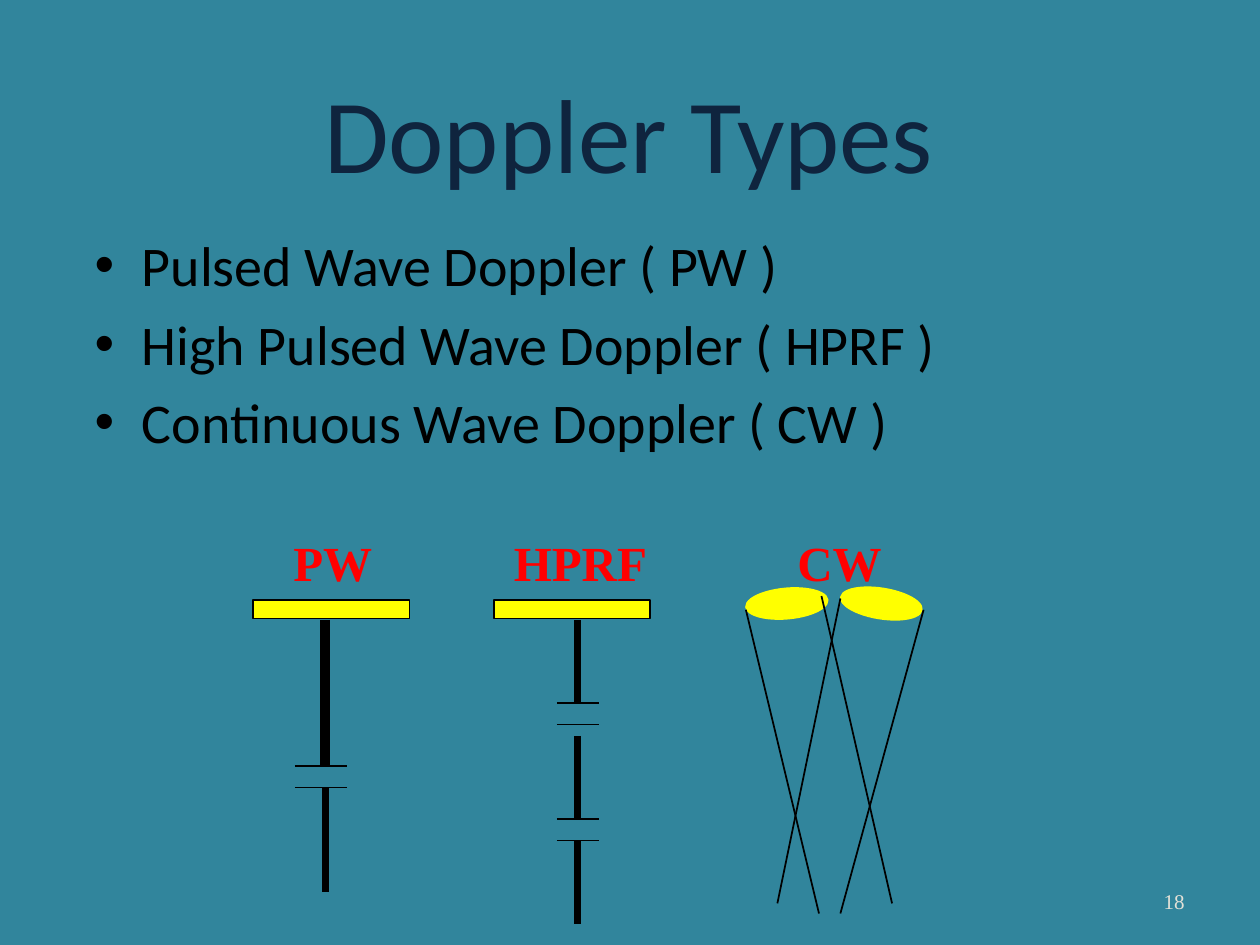
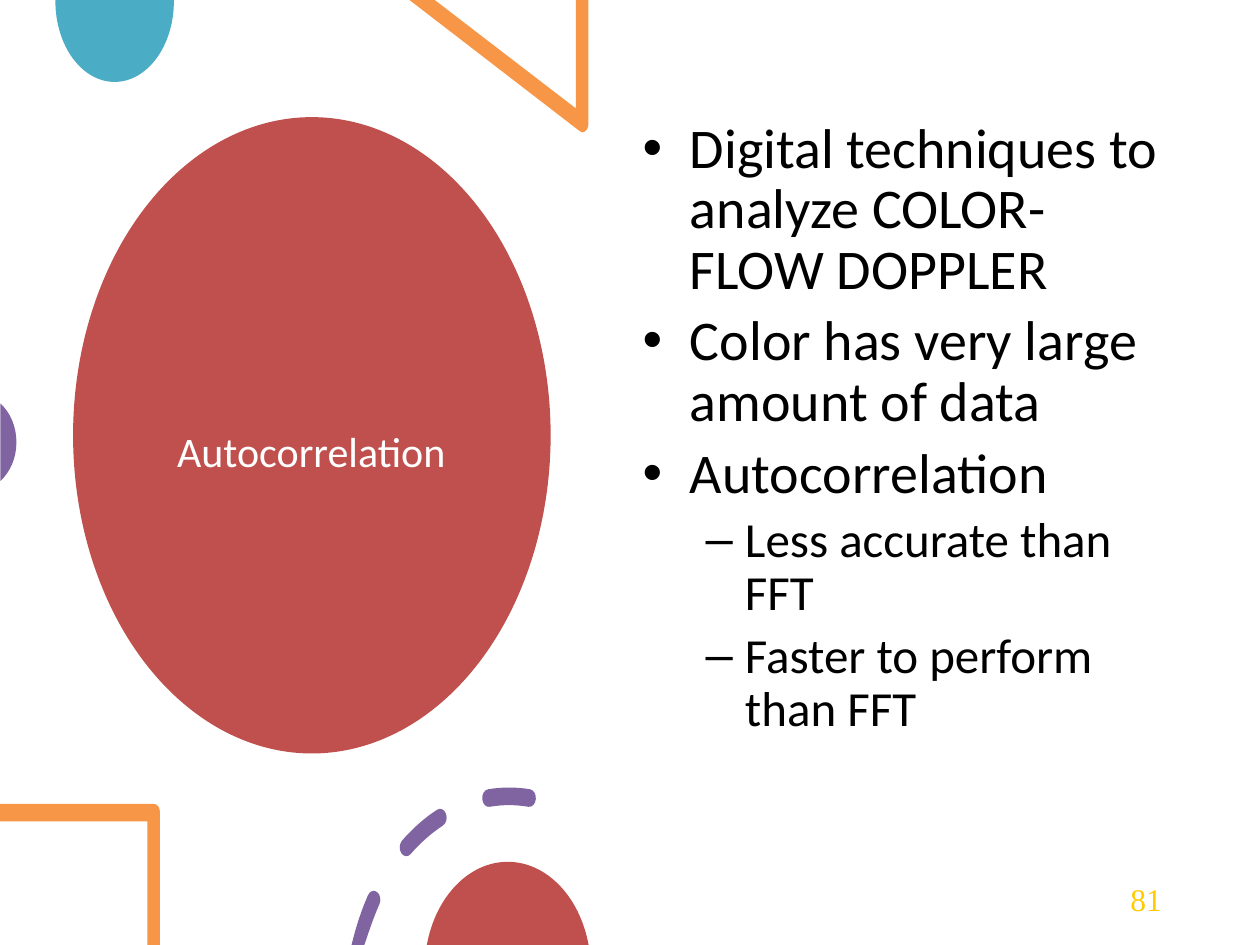
from dataclasses import dataclass
from math import cos, radians, sin, tan

from lxml import etree
from pptx import Presentation
from pptx import util as u
from pptx.dml.color import RGBColor
from pptx.enum import shapes, text
from pptx.oxml.ns import qn

# The slide is a grid of square cells
COLUMNS, ROWS = 10, 7.5
CELL = u.Inches(1)


@dataclass(frozen=True)
class Theme:
    sans: str = "Calibri"
    serif: str = "Times New Roman"
    teal: str = "31859C"
    white: str = "FFFFFF"
    black: str = "000000"
    navy: str = "0F243E"
    yellow: str = "FFFF00"
    red: str = "FF0000"
    brick: str = "C0504D"
    aqua: str = "4BACC6"
    orange: str = "F79646"
    purple: str = "8064A2"
    pale: str = "E3E1D7"
    gold: str = "FFCC00"
    title: int = 60
    disc_title: int = 24
    label: int = 28
    bullets: tuple = (32, 28)
    thin: int = 1
    beam: int = 4
    strong_beam: int = 6


THEME = Theme()
# Mark, text indent and hanging indent of each list level, in points
LEVELS = (("•", 27, 27), ("–", 58.5, 22.5))
ALIGN = text.PP_ALIGN
FIT = text.MSO_AUTO_SIZE


def cells(*counts):
    return [u.Emu(round(count * CELL)) for count in counts]


def rgb(color):
    return RGBColor.from_string(color)


# Text
def write(frame, words, size, color, font=THEME.sans, bold=False, align=ALIGN.LEFT,
          level=None, spacing=None, after=None, first=True):
    """Add one formatted paragraph; level makes it a list item."""
    paragraph = frame.paragraphs[0] if first else frame.add_paragraph()
    paragraph.alignment = align
    paragraph.space_before = u.Pt(0 if first else size * 0.2)
    if spacing:
        paragraph.line_spacing = spacing
    if after:
        paragraph.space_after = u.Pt(after)
    if level is not None:
        mark, indent, hanging = LEVELS[level]
        paragraph.level = level
        properties = paragraph._p.get_or_add_pPr()
        properties.set("marL", str(u.Pt(indent)))
        properties.set("indent", str(-u.Pt(hanging)))
        etree.SubElement(properties, qn("a:buFont")).set("typeface", "Arial")
        etree.SubElement(properties, qn("a:buChar")).set("char", mark)
    run = paragraph.add_run()
    run.text = words
    run.font.name, run.font.size, run.font.bold = font, u.Pt(size), bold
    run.font.color.rgb = rgb(color)


def place(box, area, anchor=text.MSO_ANCHOR.TOP, wrap=True):
    box.left, box.top, box.width, box.height = cells(*area)
    frame = box.text_frame
    frame.auto_size = FIT.NONE if wrap else FIT.SHAPE_TO_FIT_TEXT
    frame.word_wrap = wrap
    frame.vertical_anchor = anchor
    return frame


def add_title(slide, words, area, size, color):
    frame = place(slide.shapes.title, area, text.MSO_ANCHOR.MIDDLE)
    write(frame, words, size, color, align=ALIGN.CENTER)


def add_bullets(slide, items, area, spacing=None):
    frame = place(slide.placeholders[1], area)
    for index, (level, words) in enumerate(items):
        write(frame, words, THEME.bullets[level], THEME.black, level=level,
              spacing=spacing, first=index == 0)


def add_label(slide, words, area, anchor=text.MSO_ANCHOR.TOP, wrap=True, **style):
    box = slide.shapes.add_textbox(*cells(*area))
    write(place(box, area, anchor, wrap), words, font=THEME.serif, **style)


def add_page_number(slide, number, right, width, **style):
    add_label(slide, number, (right - width, 6.95, width, 0.4),
              anchor=text.MSO_ANCHOR.MIDDLE, align=ALIGN.RIGHT, **style)


# Shapes
def paint(shape, fill, outline=None):
    shape.shadow.inherit = False
    shape.fill.solid()
    shape.fill.fore_color.rgb = rgb(fill)
    if outline:
        shape.line.color.rgb = rgb(outline)
        shape.line.width = u.Pt(THEME.thin)
    else:
        shape.line.fill.background()


def add_preset(slide, kind, area, fill, outline=None, rotation=0):
    shape = slide.shapes.add_shape(kind, *cells(*area))
    shape.rotation = rotation
    paint(shape, fill, outline)
    return shape


def add_line(slide, start, end, weight=THEME.thin):
    line = slide.shapes.add_connector(shapes.MSO_CONNECTOR.STRAIGHT,
                                      *cells(*start, *end))
    line.line.color.rgb = rgb(THEME.black)
    line.line.width = u.Pt(weight)
    etree.SubElement(line._element.spPr, qn("a:effectLst"))


def add_outline(slide, fill, *contours):
    """Fill closed contours; a step of one point is a line, of three a curve."""
    def inside(point):
        return cells(min(max(point[0], 0), COLUMNS), min(max(point[1], 0), ROWS))

    builder = slide.shapes.build_freeform(*inside(contours[0][0][0]))
    for index, (start, *steps) in enumerate(contours):
        if index:
            builder.move_to(*inside(start[0]))
        builder.add_line_segments([inside(p) for step in steps for p in step], close=True)
    shape = builder.convert_to_shape()
    paint(shape, fill)

    # Join the three lines of each curve into one Bezier segment
    lines = iter(list(shape._element.iter(qn("a:lnTo"))))
    for step in (step for contour in contours for step in contour[1:]):
        parts = [next(lines) for _ in step]
        if len(parts) == 3:
            parts[0].tag, curve = qn("a:lnTo"), etree.Element(qn("a:cubicBezTo"))
            parts[0].addprevious(curve)
            for part in parts:
                curve.append(part[0])
                part.getparent().remove(part)


def corners(*points):
    return [(point,) for point in points]


def arc(center, radii, start, end, parts=2):
    """Steps along an ellipse, in degrees anticlockwise from the right."""
    sweep = radians(end - start) / parts
    reach = 4 / 3 * tan(sweep / 4)

    def on(angle, pull=0):
        return (center[0] + radii[0] * (cos(angle) - pull * sin(angle)),
                center[1] - radii[1] * (sin(angle) + pull * cos(angle)))

    angles = [radians(start) + sweep * i for i in range(parts + 1)]
    return [(on(angles[0]),)] + [(on(a, reach), on(b, -reach), on(b))
                                 for a, b in zip(angles, angles[1:])]


# Doppler diagrams
def add_pulsed_beam(slide, probe_left, axis, gate, segments):
    """Transducer, beam segments (top, bottom, weight) and gates between them."""
    add_preset(slide, shapes.MSO_SHAPE.RECTANGLE, (probe_left, 4.76, 1.24, 0.15),
               THEME.yellow, THEME.black)
    for top, bottom, weight in segments:
        add_line(slide, (axis, top), (axis, bottom), weight)
    for _, bottom, _ in segments[:-1]:
        for y in (bottom, bottom + 0.17):
            add_line(slide, (gate[0], y), (gate[1], y))


def add_continuous_beams(slide):
    for left, tilt in ((5.92, 355), (6.67, 9)):
        add_preset(slide, shapes.MSO_SHAPE.OVAL, (left, 4.67, 0.65, 0.24),
                   THEME.yellow, THEME.yellow, tilt)
    for start, end in (((5.92, 4.84), (6.5, 7.25)), ((6.52, 4.73), (7.08, 7.17)),
                       ((6.67, 4.75), (6.17, 7.17)), ((7.33, 4.84), (6.67, 7.25))):
        add_line(slide, start, end)


# Decoration around the disc
def ring_dash(middle):
    """One round-ended dash of the ring, centred on an angle."""
    center, radius, half_width, squeeze, half_sweep = (4.04, 7.98), 1.66, 0.07, 0.75, 7.4
    start, end = middle - half_sweep, middle + half_sweep

    def edge(r, a, b):
        return arc(center, (squeeze * r, r), a, b, parts=1)

    def cap(angle, turn):
        tip = edge(radius, angle, angle)[0][0]
        return arc(tip, (squeeze * half_width, half_width), turn, turn + 180)[1:]

    return (edge(radius + half_width, start, end) + cap(end, end)
            + edge(radius - half_width, end, start)[1:] + cap(start, start + 180))


def add_decoration(slide):
    add_outline(slide, THEME.aqua, corners((1.38, 0), (0.44, 0))
                + arc((0.91, 0.01), (0.47, 0.64), 180, 360))
    add_outline(slide, THEME.orange,
                corners((4.67, 0), (4.57, 0), (4.57, 0.86), (3.45, 0), (3.25, 0), (4.6, 1.04))
                + [((4.61, 1.05), (4.61, 1.05), (4.62, 1.05)),
                   ((4.65, 1.05), (4.67, 1.02), (4.67, 0.98))])
    add_outline(slide, THEME.purple, arc((-0.18, 3.51), (0.31, 0.38), -54, 54))
    add_outline(slide, THEME.orange,
                corners((1.22, 6.38), (0, 6.38), (0, 6.52), (1.17, 6.52), (1.17, ROWS),
                        (1.27, ROWS), (1.27, 6.45))
                + [((1.27, 6.41), (1.25, 6.38), (1.22, 6.38))])
    add_outline(slide, THEME.purple, *[ring_dash(90 + 33.5 * i) for i in (2, 1, 0)])
    add_outline(slide, THEME.brick, arc((4.03, 7.7), (0.66, 0.86), 13.5, 166.5))


# Slides
def new_slide(deck, background):
    slide = deck.slides.add_slide(deck.slide_layouts[1])
    slide.background.fill.solid()
    slide.background.fill.fore_color.rgb = rgb(background)
    return slide


def doppler_types(deck):
    slide = new_slide(deck, THEME.teal)
    add_title(slide, "Doppler Types", (0.49, 0.42, 9, 1.25), THEME.title, THEME.navy)
    add_bullets(slide, [(0, "Pulsed Wave Doppler ( PW )"),
                        (0, "High Pulsed Wave Doppler ( HPRF )"),
                        (0, "Continuous Wave Doppler ( CW )")], (0.65, 1.78, 9, 4.8))
    add_page_number(slide, "18", 9.5, 2.33, size=12, color=THEME.pale)
    add_pulsed_beam(slide, 2.01, 2.58, (2.34, 2.75),
                    [(4.92, 6.08, THEME.strong_beam), (6.25, 7.08, THEME.beam)])
    add_pulsed_beam(slide, 3.92, 4.58, (4.42, 4.75),
                    [(top, top + 0.66, THEME.beam) for top in (4.92, 5.84, 6.67)])
    add_continuous_beams(slide)
    for name, left, width in (("PW", 2.23, 0.83), ("HPRF", 3.98, 1.26),
                              ("CW", 6.23, 0.87)):
        add_label(slide, name, (left, 4.18, width, 0.57), wrap=False,
                  size=THEME.label, color=THEME.red, bold=True)


def autocorrelation(deck):
    slide = new_slide(deck, THEME.white)
    disc = add_preset(slide, shapes.MSO_SHAPE.OVAL, (0.58, 0.93, 3.79, 5.05), THEME.brick)
    slide.shapes.title._element.addprevious(disc._element)
    add_title(slide, "Autocorrelation", (1.14, 1.35, 2.66, 4.45),
              THEME.disc_title, THEME.white)
    add_decoration(slide)
    add_bullets(slide, [(0, "Digital techniques to analyze COLOR-FLOW DOPPLER"),
                        (0, "Color has very large amount of data"),
                        (0, "Autocorrelation"),
                        (1, "Less accurate than FFT"),
                        (1, "Faster to perform than FFT")],
                (5, 0.9, 4.31, 5.35), spacing=0.9)
    add_page_number(slide, "81", 9.32, 0.7, size=18, color=THEME.gold,
                    spacing=0.9, after=6)


def main():
    deck = Presentation()
    deck.slide_width, deck.slide_height = cells(COLUMNS, ROWS)
    doppler_types(deck)
    autocorrelation(deck)
    deck.save("out.pptx")


if __name__ == "__main__":
    main()
